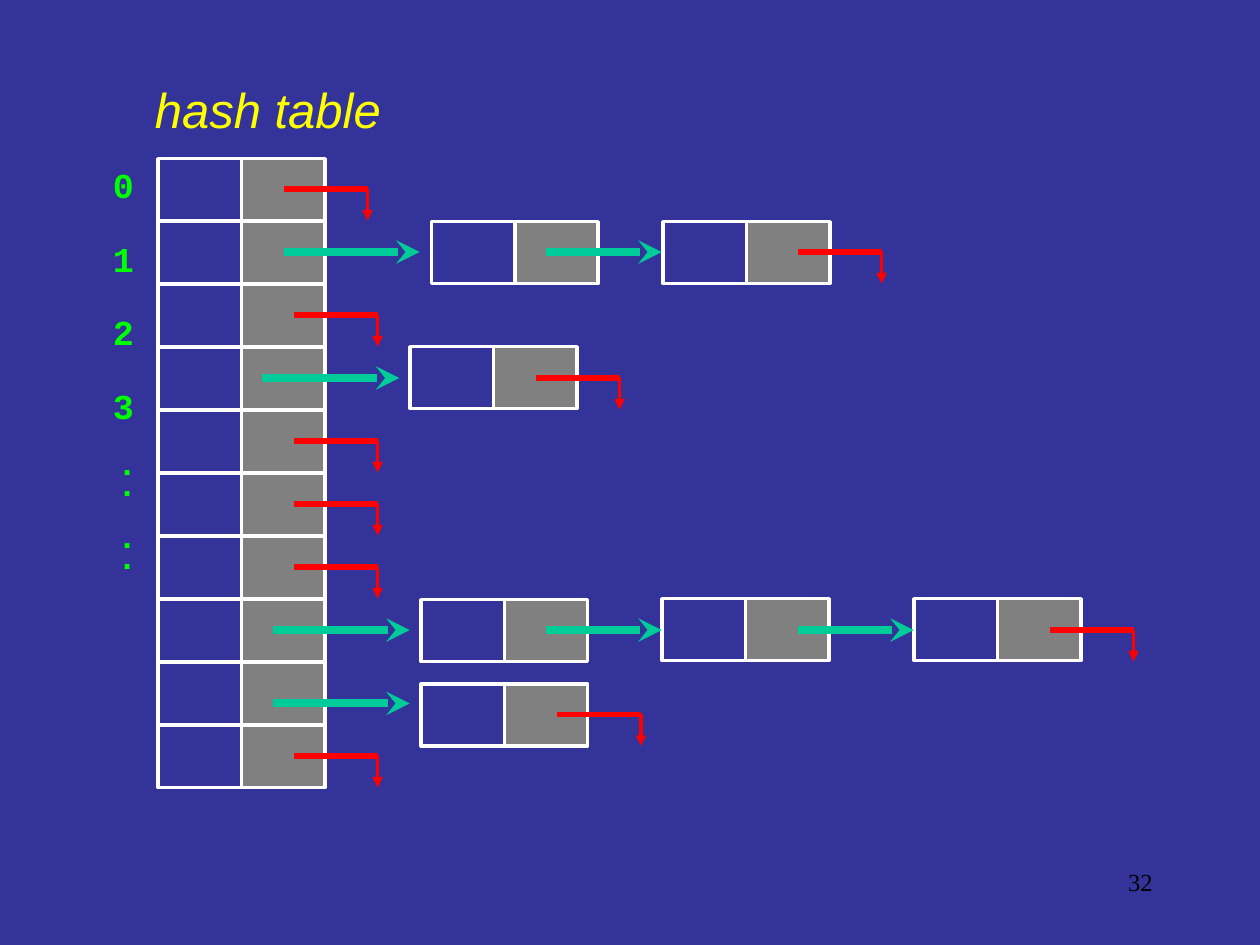
from lxml import etree
from pptx import Presentation
from pptx import util as u
from pptx.dml.color import RGBColor
from pptx.enum import shapes, text
from pptx.oxml import ns

NAVY = RGBColor(0x33, 0x33, 0x99)
WHITE = RGBColor(0xFF, 0xFF, 0xFF)
GRAY = RGBColor(0x80, 0x80, 0x80)
YELLOW = RGBColor(0xFF, 0xFF, 0x00)
GREEN = RGBColor(0x00, 0xFF, 0x00)
TEAL = RGBColor(0x00, 0xCC, 0x99)
RED = RGBColor(0xFF, 0x00, 0x00)
BLACK = RGBColor(0x00, 0x00, 0x00)

TITLE = dict(name="Arial", size=u.Pt(28), italic=True, bold=False)
INDEX = dict(name="Courier New", size=u.Pt(20), bold=True)
DOTS = dict(name="Arial", size=u.Pt(28))
NUMBER = dict(name="Times New Roman", size=u.Pt(14))

LEFT, TOP, ROW, CELL, ROWS = 3.18, 3.18, 1.27, 1.69, 10
NODES = [(8.69, 4.45), (13.36, 4.45), (8.26, 6.97), (8.48, 12.07),
         (13.34, 12.05), (18.42, 12.05), (8.48, 13.77)]
POINTERS = [(5.72, 8.46, 5.08), (11, 13.34, 5.08), (5.28, 8.05, 7.62),
            (5.51, 8.26, 12.7), (11, 13.34, 12.7), (16.08, 18.42, 12.7),
            (5.51, 8.26, 14.18)]
NULLS = [(5.72, 3.81), (16.08, 5.08), (5.92, 6.35), (10.8, 7.62),
         (5.92, 8.89), (5.92, 10.16), (5.92, 11.43), (21.16, 12.7),
         (11.23, 14.4), (5.92, 15.24)]


def set_text(sp, content, font, color, align, before=0):
    tf = sp.text_frame
    frame = dict(word_wrap=True, auto_size=text.MSO_AUTO_SIZE.NONE,
                 vertical_anchor=text.MSO_ANCHOR.TOP)
    for key, value in frame.items():
        setattr(tf, key, value)
    p = tf.paragraphs[0]
    p.alignment = align
    p.space_before = u.Pt(before)
    r = p.add_run()
    r.text = content
    for key, value in font.items():
        setattr(r.font, key, value)
    r.font.color.rgb = color


def add_title(s, content):
    sp = s.shapes.title
    place = dict(left=u.Cm(2.54), top=u.Cm(1.48),
                 width=u.Cm(5.72), height=u.Cm(1.45))
    for key, value in place.items():
        setattr(sp, key, value)
    set_text(sp, content, TITLE, YELLOW, text.PP_ALIGN.CENTER, 17.5)


def add_label(s, x, y, w, h, content, font, color, before=0):
    sp = s.shapes.add_textbox(u.Cm(x), u.Cm(y), u.Cm(w), u.Cm(h))
    set_text(sp, content, font, color, text.PP_ALIGN.RIGHT, before)


def add_rect(s, x, y, w, h, fill=None, line=None):
    sp = s.shapes.add_shape(shapes.MSO_SHAPE.RECTANGLE,
                            u.Cm(x), u.Cm(y), u.Cm(w), u.Cm(h))
    sp.shadow.inherit = False
    if fill is None:
        sp.fill.background()
    else:
        sp.fill.solid()
        sp.fill.fore_color.rgb = fill
    if line is None:
        sp.line.fill.background()
    else:
        sp.line.color.rgb = line
        sp.line.width = u.Pt(2)


def add_line(s, x1, y1, x2, y2, color, width, head=None):
    sp = s.shapes.add_connector(shapes.MSO_CONNECTOR.STRAIGHT,
                                u.Cm(x1), u.Cm(y1), u.Cm(x2), u.Cm(y2))
    sp.line.color.rgb = color
    sp.line.width = u.Pt(width)
    if head:
        ln = sp.line._get_or_add_ln()
        etree.SubElement(ln, ns.qn("a:tailEnd"), type=head)
    etree.SubElement(sp._element.spPr, ns.qn("a:effectLst"))


def add_cells(s, x, y, rows):
    h = rows * ROW
    middle = x + CELL
    add_rect(s, middle, y, CELL, h, fill=GRAY)
    add_rect(s, x + 0.01, y + 0.02, 2 * CELL - 0.02, h - 0.02, line=WHITE)
    for i in range(1, rows):
        add_line(s, x, y + i * ROW, x + 2 * CELL, y + i * ROW, WHITE, 2)
    add_line(s, middle, y, middle, y + h, WHITE, 2)


def add_null(s, x, y):
    end = x + CELL
    add_line(s, x, y, end, y, RED, 3)
    add_line(s, end, y, end, y + ROW / 2, RED, 2, "triangle")


def main():
    prs = Presentation()
    prs.slide_width, prs.slide_height = u.Cm(25.4), u.Cm(19.05)
    s = prs.slides.add_slide(prs.slide_layouts[5])
    s.background.fill.solid()
    s.background.fill.fore_color.rgb = NAVY

    add_title(s, "hash table")
    add_label(s, 18.21, 17.35, 5.28, 1.27, "32", NUMBER, BLACK)
    for i in range(4):
        add_label(s, 0.84, TOP + 1.48 * i, 2.11, 1.12, str(i), INDEX, GREEN, 12.5)
    for y in (8.89, 10.36):
        add_label(s, 0.84, y, 2.11, 1.45, ":", DOTS, GREEN, 17.5)

    add_cells(s, LEFT, TOP, ROWS)
    for x, y in NODES:
        add_cells(s, x, y, 1)
    for x1, x2, y in POINTERS:
        add_line(s, x1, y, x2, y, TEAL, 4.5, "stealth")
    for x, y in NULLS:
        add_null(s, x, y)
    prs.save("out.pptx")


if __name__ == "__main__":
    main()
